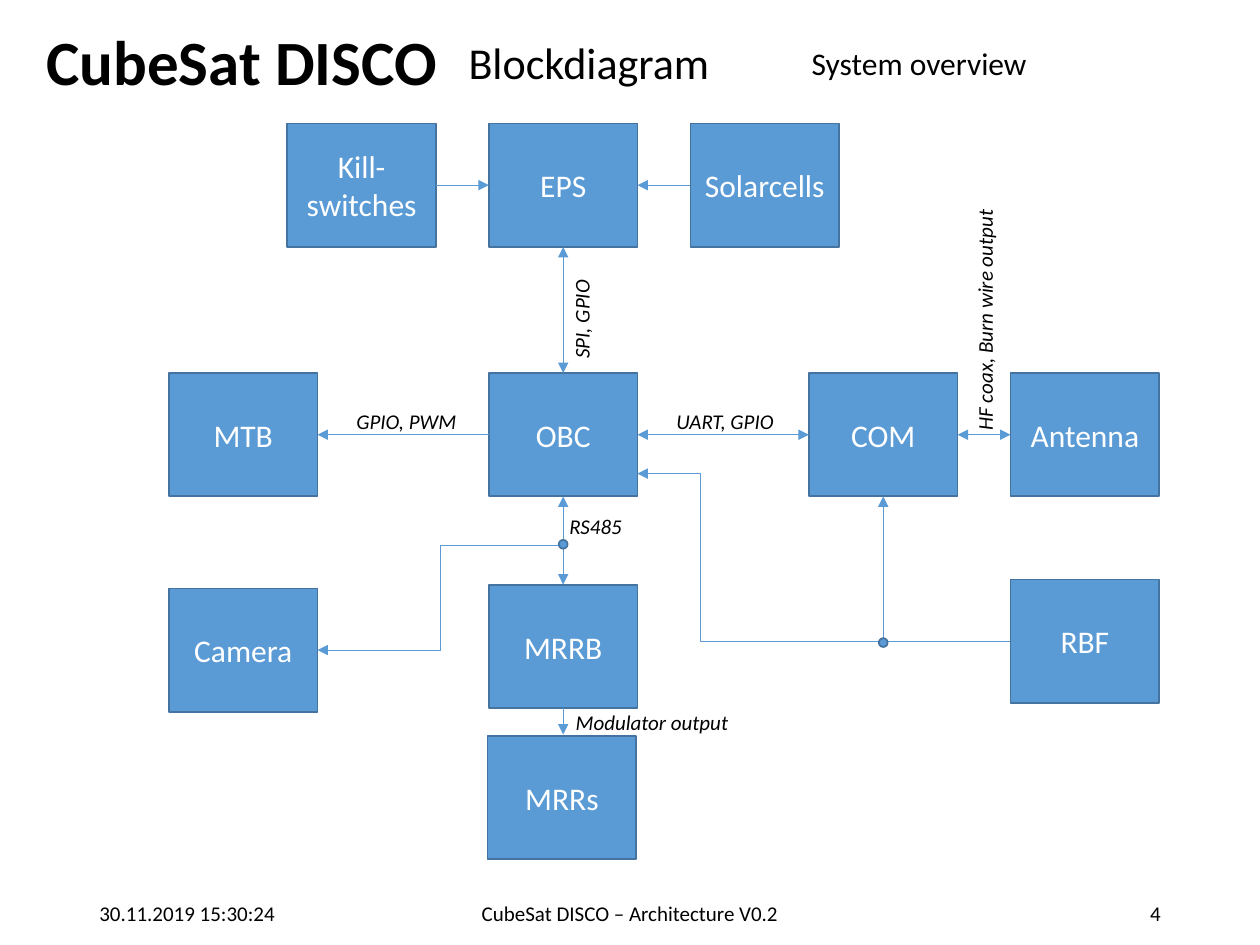
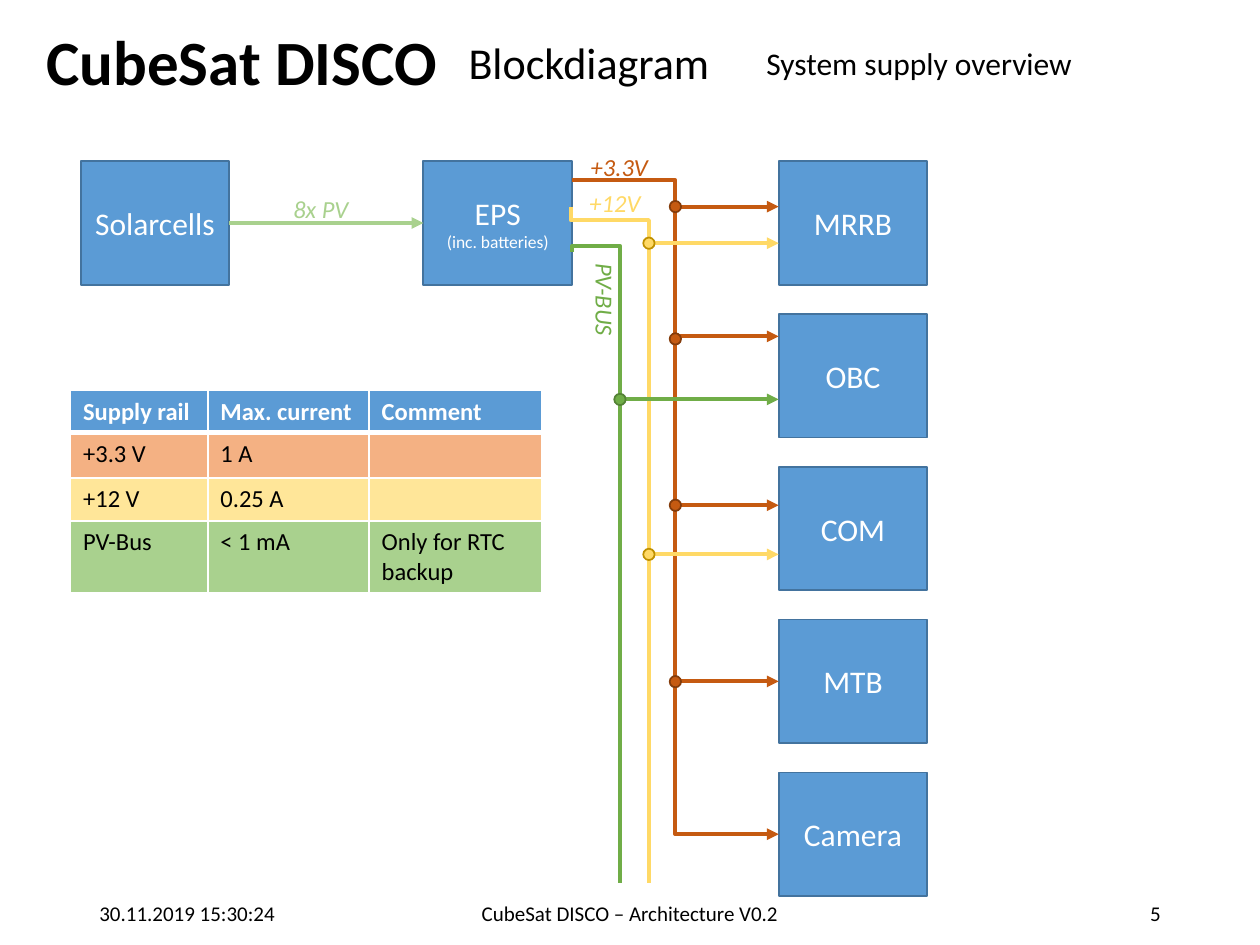
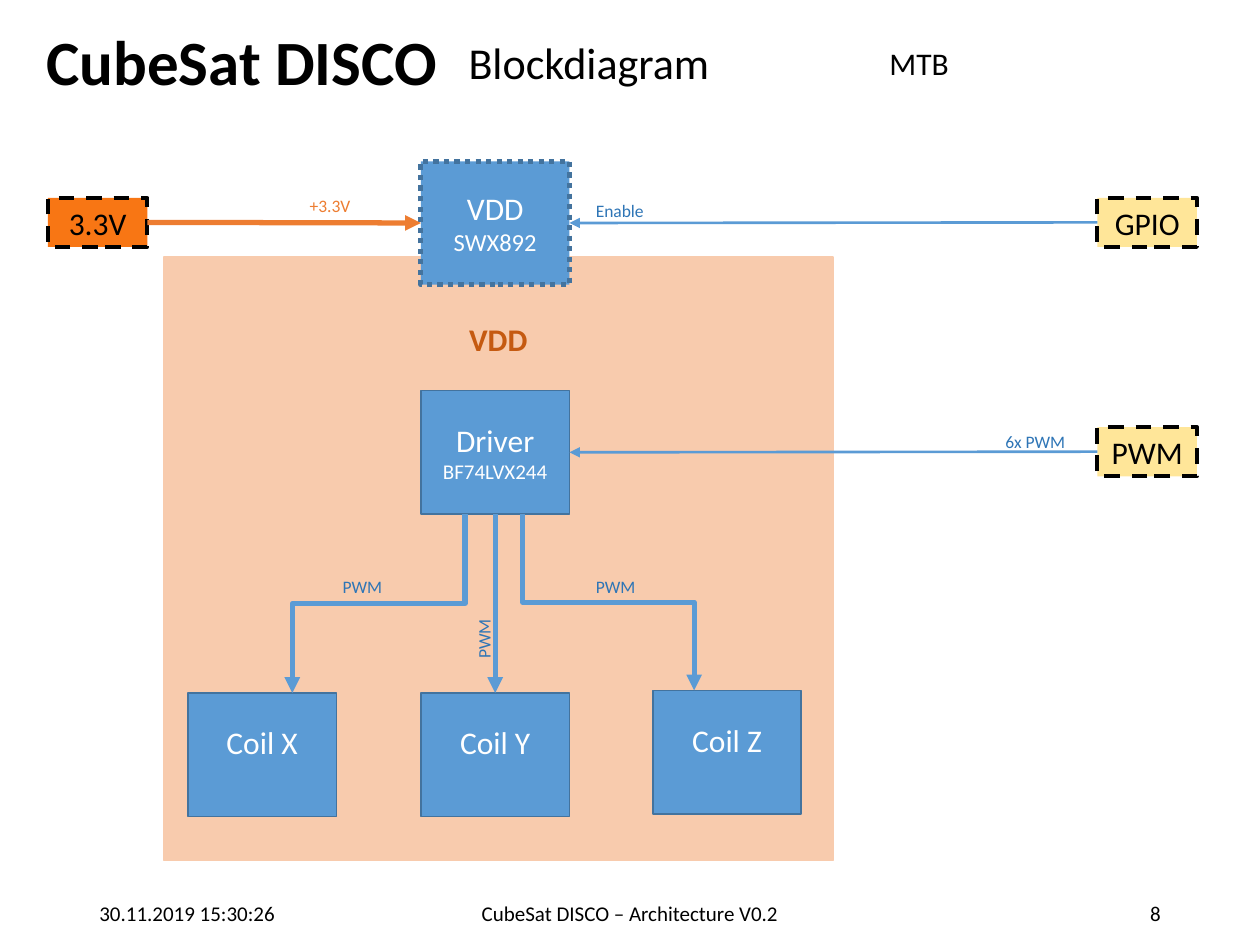
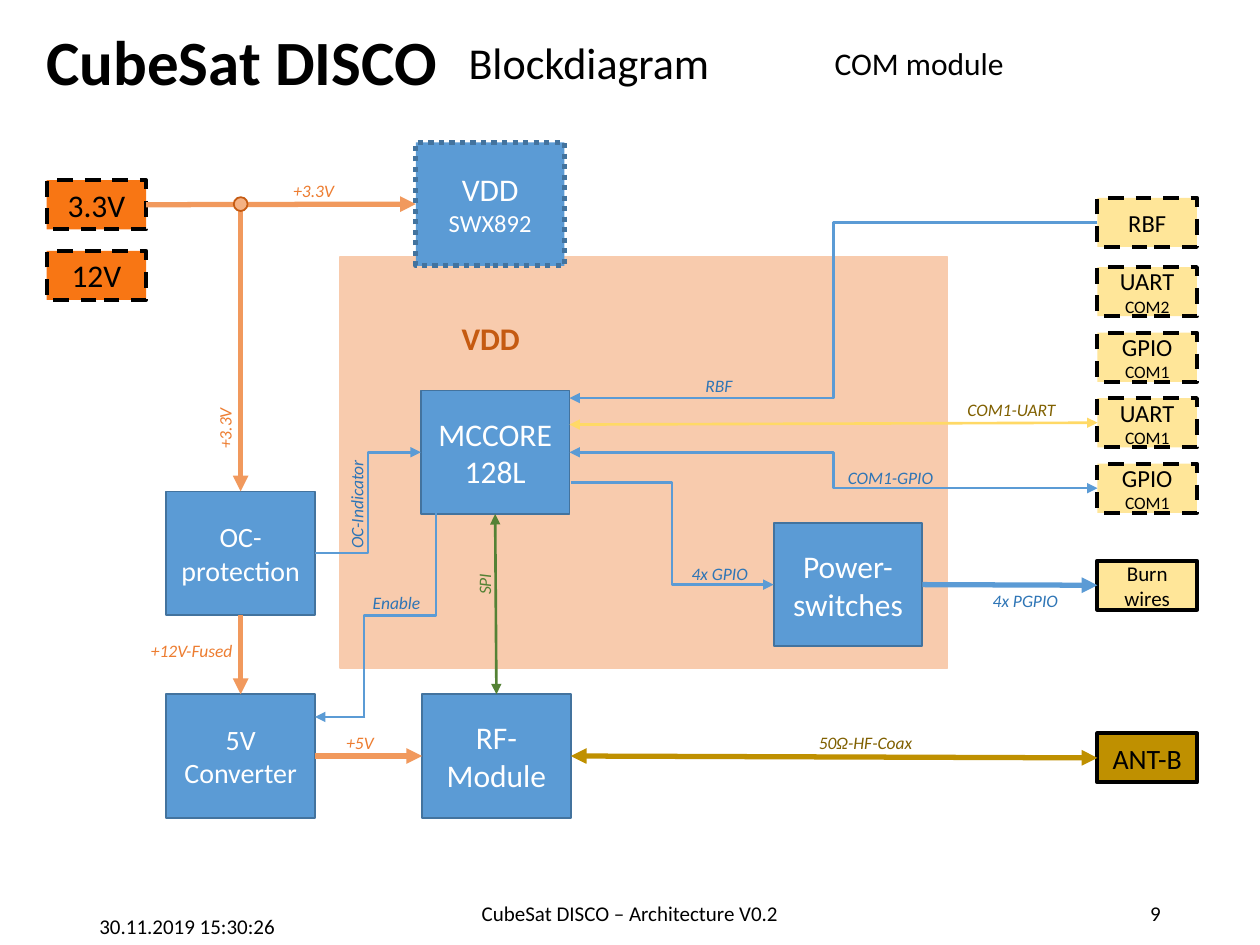
from dataclasses import dataclass

import pptx
import pptx.dml.color
import pptx.enum.dml
import pptx.enum.shapes
import pptx.enum.text
import pptx.oxml
import pptx.oxml.ns
import pptx.util
from lxml import etree

Inches = pptx.util.Inches
Pt = pptx.util.Pt
qn = pptx.oxml.ns.qn
MSO_SHAPE = pptx.enum.shapes.MSO_SHAPE
CONNECTOR = pptx.enum.shapes.MSO_CONNECTOR
ALIGN = pptx.enum.text.PP_ALIGN
ANCHOR = pptx.enum.text.MSO_ANCHOR
DASH = pptx.enum.dml.MSO_LINE


@dataclass(frozen=True)
class Theme:
    font: str = "Calibri"
    black: str = "000000"
    white: str = "FFFFFF"
    blue: str = "5B9BD5"
    blue_edge: str = "43739E"
    blue_text: str = "2E75B6"
    rust: str = "C55A11"
    rust_edge: str = "843C0B"
    orange: str = "ED7D31"
    orange_line: str = "F1995D"
    orange_soft: str = "F4B183"
    orange_port: str = "F87614"
    peach: str = "F8CBAD"
    yellow: str = "FFD966"
    yellow_soft: str = "FFE699"
    gold: str = "BF9000"
    gold_text: str = "806000"
    green: str = "70AD47"
    green_edge: str = "548235"
    green_soft: str = "A9D18E"
    brand_size: float = 36
    title_size: float = 25.2
    block_size: float = 18
    medium_size: float = 16
    table_size: float = 14
    footer_size: float = 12
    label_size: float = 10


theme = Theme()

BLOCK = (1.18, 0.98)
PORT = (0.79, 0.39)
STYLES = {
    "block": (BLOCK, theme.blue, theme.white, theme.blue_edge, 1, None),
    "regulator": (BLOCK, theme.blue, theme.white, theme.blue_edge, 3, DASH.ROUND_DOT),
    "supply": (PORT, theme.orange_port, theme.black, theme.black, 2.25, DASH.DASH),
    "signal": (PORT, theme.yellow_soft, theme.black, theme.black, 2.25, DASH.DASH),
    "external": (PORT, theme.yellow_soft, theme.black, theme.black, 2.25, None),
    "antenna": (PORT, theme.gold, theme.black, theme.black, 2.25, None),
}
LABEL_HEIGHTS = {10: 0.27, 12: 0.3, 14: 0.34, 18: 0.4}

COLUMN = [3.88 + offset for offset in (-2.54, 0, 2.54)]
TOP_ROW = [3.88 + offset for offset in (-1.6, 0, 1.6)]
CONSUMERS = ["MRRB", "OBC", "COM", "MTB", "Camera"]
RED = dict(color=theme.rust)
YELLOW = dict(color=theme.yellow)
GREEN = dict(color=theme.green)
FUSED = dict(color=theme.orange_line, weight=3)
BOTH = dict(arrows="both")
VDD_LABEL = dict(color=theme.rust, size=18, bold=True, italic=False, align=ALIGN.CENTER)
ORANGE_LABEL = dict(color=theme.orange)
GOLD_LABEL = dict(color=theme.gold_text)
COIL = dict(margin_bottom=0.25)
TWO_SIZES = dict(size=14, small=10)

overview = dict(
    topic="System overview", number=4, stamp="30.11.2019 15:30:24", weight=0.5,
    label=dict(size=12, color=theme.black, italic=True),
    blocks={
        "EPS": ("EPS", TOP_ROW[1], 0.98),
        "Kill": ("Kill-switches", TOP_ROW[0], 0.98),
        "Solar": ("Solarcells", TOP_ROW[2], 0.98),
        "MTB": ("MTB", COLUMN[0], 2.96),
        "OBC": ("OBC", COLUMN[1], 2.96),
        "COM": ("COM", COLUMN[2], 2.96),
        "Antenna": ("Antenna", 8.02, 2.96),
        "Camera": ("Camera", COLUMN[0], 4.67),
        "MRRB": ("MRRB", COLUMN[1], 4.64),
        "MRRs": ("MRRs", 3.87, 5.84),
        "RBF": ("RBF", 8.02, 4.6),
    },
    links=[
        ("Kill.right", "EPS.left", {}),
        ("Solar.left", "EPS.right", {}),
        ("OBC.top", "EPS.bottom", BOTH),
        ("OBC.left", "MTB.right", {}),
        ("OBC.right", "COM.left", BOTH),
        ("COM.right", "Antenna.left", BOTH),
        ("OBC.bottom", "MRRB.top", BOTH),
        ("MRRB.bottom", (4.47, 5.83), {}),
        ("Camera.right", (4.47, 4.33), dict(route="across", arrows="begin")),
        ("RBF.left", (5.06, 3.76), dict(route="across", bend=0.83)),
        ((7.01, 5.09), "COM.bottom", {}),
    ],
    dots=[(x, y, 0.07, theme.blue, theme.blue_edge) for x, y in [(4.47, 4.32), (7.01, 5.1)]],
    labels=[
        ("GPIO, PWM", 2.73, 3.19, 1.01, {}),
        ("UART, GPIO", 5.27, 3.19, 0.99, {}),
        ("RS485", 4.42, 4.03, 0.62, {}),
        ("SPI, GPIO", 4.2, 2.38, 0.83, dict(rotation=270)),
        ("Modulator output", 4.47, 5.58, 1.42, {}),
        ("HF coax, Burn wire output", 6.83, 2.38, 1.97, dict(rotation=270)),
    ],
)

supply = dict(
    topic="System supply overview", number=5, stamp="30.11.2019 15:30:24", weight=2.25,
    label=dict(size=14, italic=True),
    blocks={
        "Solar": ("Solarcells", 0.64, 1.28),
        "EPS": ("EPS\n(inc. batteries)", 3.36, 1.28, dict(small=10)),
        **{name: (name, 6.18, 1.28 + 1.2125 * row) for row, name in enumerate(CONSUMERS)},
    },
    links=[
        ("Solar.right", "EPS.left", dict(color=theme.green_soft)),
        ((4.54, 1.43), (6.18, 2.67), dict(route="across", **RED)),
        ((5.37, 1.64), (6.18, 1.64), RED),
        ((5.37, 4.01), (6.18, 4.01), RED),
        ((4.54, 2), (4.92, 7.01), dict(route="down", bend=-0.01, arrows="none", **GREEN)),
        ((4.53, 1.64), (5.15, 7.01), dict(route="down", bend=0.02, arrows="none", **YELLOW)),
        ((5.36, 2.73), "MTB.left", dict(route="down", corner=True, **RED)),
        ((5.36, 5.41), "Camera.left", dict(route="down", corner=True, **RED)),
        ((5.15, 1.93), (6.18, 1.93), YELLOW),
        ((5.15, 4.4), (6.18, 4.4), YELLOW),
        ((4.92, 3.17), (6.18, 3.17), GREEN),
    ],
    dots=[(5.36, y, 0.09, theme.rust, theme.rust_edge) for y in (1.64, 2.69, 4.01, 5.41)]
    + [(5.15, y, 0.09, theme.yellow, theme.gold) for y in (1.93, 4.4)]
    + [(4.92, 3.17, 0.09, theme.green, theme.green_edge)],
    labels=[
        ("+12V", 4.58, 1.44, 0.61, YELLOW),
        ("+3.3V", 4.59, 1.16, 0.66, RED),
        ("PV-BUS", 4.4, 2.22, 0.8, dict(rotation=90, **GREEN)),
        ("8x PV", 2.23, 1.49, 0.64, dict(color=theme.green_soft)),
    ],
    table=dict(
        left=0.56, top=3.1, widths=[1.09, 1.28, 1.37], heights=[0.31, 0.36, 0.34, 0.56],
        fills=[theme.blue, theme.orange_soft, theme.yellow_soft, theme.green_soft],
        rows=[
            ["Supply rail", "Max. current", "Comment"],
            ["+3.3 V", "1 A", ""],
            ["+12 V", "0.25 A", ""],
            ["PV-Bus", "< 1 mA", "Only for RTC backup"],
        ],
    ),
)

coils = dict(
    topic="MTB", number=8, stamp="30.11.2019 15:30:26", weight=1.5,
    label=dict(size=theme.label_size, color=theme.blue_text),
    panel=(1.3, 2.04, 5.31, 4.79),
    blocks={
        "VDD": ("VDD\nSWX892", 3.34, 1.28, dict(style="regulator", small=14)),
        "Driver": ("Driver\nBF74LVX244", 3.34, 3.1, dict(small=12)),
        "X": ("Coil X", 1.49, 5.5, COIL),
        "Y": ("Coil Y", 3.34, 5.5, COIL),
        "Z": ("Coil Z", 5.18, 5.48, COIL),
        "3.3V": ("3.3V", 0.38, 1.57, dict(style="supply")),
        "GPIO": ("GPIO", 8.71, 1.57, dict(style="signal")),
        "PWM": ("PWM", 8.71, 3.39, dict(style="signal")),
    },
    links=[
        ("PWM.left", "Driver.right", {}),
        ("GPIO.left", "VDD.right", {}),
        ("3.3V.right", "VDD.left", dict(color=theme.orange, weight=3)),
        ((3.69, 4.08), (2.32, 5.5), dict(route="down", weight=3)),
        ((4.15, 4.08), (5.51, 5.48), dict(route="down", weight=3)),
        ("Driver.bottom", "Y.top", dict(weight=3)),
    ],
    labels=[
        ("VDD", 3.62, 2.49, 0.67, VDD_LABEL),
        ("+3.3V", 2.36, 1.5, 0.53, ORANGE_LABEL),
        ("Enable", 4.63, 1.54, 0.59, {}),
        ("6x PWM", 7.88, 3.37, 0.68, {}),
        ("PWM", 2.62, 4.52, 0.52, {}),
        ("PWM", 4.63, 4.52, 0.52, {}),
        ("PWM", 3.58, 4.93, 0.52, dict(rotation=270)),
    ],
)

PORT_STACK = ["UART\nCOM2", "GPIO\nCOM1", "UART\nCOM1", "GPIO\nCOM1"]

radio = dict(
    topic="COM module", number=9, stamp="30.11.2019 15:30:26", stamp_drop=0.1, weight=1.5,
    label=dict(size=theme.label_size, color=theme.blue_text, italic=True),
    panel=(2.7, 2.04, 4.82, 3.26),
    blocks={
        "VDD": ("VDD\nSWX892", 3.3, 1.13, dict(style="regulator", small=14)),
        "MCU": ("MCCORE 128L", 3.34, 3.1),
        "RF": ("RF-Module", 3.35, 5.51),
        "Power": ("Power-switches", 6.14, 4.15),
        "OC": ("OC-protection", 1.32, 3.9, dict(size=theme.medium_size)),
        "5V": ("5V\nConverter", 1.32, 5.51, dict(size=theme.medium_size)),
        "3.3V": ("3.3V", 0.37, 1.43, dict(style="supply")),
        "12V": ("12V", 0.37, 1.99, dict(style="supply")),
        "RBF": ("RBF", 8.71, 1.57, dict(style="signal", size=14)),
        **{f"port{row}": (text, 8.71, 2.12 + 0.52 * row, dict(style="signal", **TWO_SIZES))
           for row, text in enumerate(PORT_STACK)},
        "Burn": ("Burn wires", 8.71, 4.45, dict(style="external", size=12)),
        "Antenna": ("ANT-B", 8.71, 5.82, dict(style="antenna", size=theme.medium_size)),
    },
    links=[
        ("3.3V.right", "VDD.left", FUSED),
        ((1.91, 1.62), "OC.top", FUSED),
        ("OC.bottom", "5V.top", FUSED),
        ("5V.right", "RF.left", FUSED),
        ("port2.left", (4.52, 3.37), dict(color=theme.yellow, arrows="both")),
        ("port3.left", "MCU.right", dict(route="across", arrows="both")),
        ("RBF.left", (4.52, 3.16), dict(route="across")),
        ("MCU.bottom", "RF.top", dict(color=theme.green_edge, arrows="both")),
        ("RF.right", "Antenna.left", dict(color=theme.gold, weight=3, arrows="both")),
        ((4.53, 3.83), "Power.left", dict(route="across")),
        ("Power.right", "Burn.left", dict(weight=3)),
        ("OC.right", "MCU.left", dict(route="across")),
        ((3.46, 4.07), (2.89, 5.7), dict(route="down", arrows="none")),
        ((2.9, 5.69), (2.5, 5.69), {}),
    ],
    dots=[(1.91, 1.62, 0.11, theme.orange_soft, theme.rust)],
    labels=[
        ("VDD", 3.56, 2.48, 0.67, VDD_LABEL),
        ("+3.3V", 2.23, 1.38, 0.53, ORANGE_LABEL),
        ("+3.3V", 1.52, 3.26, 0.53, dict(rotation=270, **ORANGE_LABEL)),
        ("+12V-Fused", 1.1, 5.03, 0.87, ORANGE_LABEL),
        ("+5V", 2.65, 5.76, 0.42, ORANGE_LABEL),
        ("Enable", 2.86, 4.65, 0.58, {}),
        ("OC-Indicator", 2.37, 3.86, 0.92, dict(rotation=270)),
        ("RBF", 5.5, 2.93, 0.42, {}),
        ("COM1-UART", 7.58, 3.12, 0.91, GOLD_LABEL),
        ("COM1-GPIO", 6.63, 3.66, 0.89, {}),
        ("4x GPIO", 5.39, 4.42, 0.65, {}),
        ("4x PGPIO", 7.78, 4.63, 0.72, {}),
        ("SPI", 3.66, 4.5, 0.37, dict(rotation=270, color=theme.green_edge)),
        ("50\u2126-HF-Coax", 6.4, 5.76, 1.12, GOLD_LABEL),
    ],
)


def rgb(code):
    return pptx.dml.color.RGBColor.from_string(code)


def write(frame, text, size=theme.block_size, small=None, color=theme.black, bold=False,
          italic=False, align=ALIGN.LEFT, anchor=ANCHOR.TOP, wrap=True,
          line_spacing=None, space_before=None, margin_bottom=0.05):
    frame.word_wrap = wrap
    frame.vertical_anchor = anchor
    frame.margin_bottom = Inches(margin_bottom)
    for index, line in enumerate(text.split("\n")):
        para = frame.paragraphs[0] if index == 0 else frame.add_paragraph()
        para.alignment = align
        if line_spacing:
            para.line_spacing = line_spacing
        if space_before:
            para.space_before = Pt(space_before)
        span = para.add_run()
        span.text = line
        span.font.name = theme.font
        span.font.size = Pt(small if index and small else size)
        span.font.bold = bold
        span.font.italic = italic
        span.font.color.rgb = rgb(color)


def add_text(page, text, left, top, width, height, rotation=0, **format):
    box = page.shapes.add_textbox(Inches(left), Inches(top), Inches(width), Inches(height))
    box.rotation = rotation
    write(box.text_frame, text, **format)
    return box


def add_figure(page, kind, left, top, width, height, fill, edge, weight=1, dash=None):
    figure = page.shapes.add_shape(kind, Inches(left), Inches(top), Inches(width), Inches(height))
    figure.shadow.inherit = False
    figure.fill.solid()
    figure.fill.fore_color.rgb = rgb(fill)
    figure.line.color.rgb = rgb(edge)
    figure.line.width = Pt(weight)
    if dash:
        figure.line.dash_style = dash
    return figure


def add_block(page, text, left, top, format):
    format = dict(format)
    size, fill, color, edge, weight, dash = STYLES[format.pop("style", "block")]
    block = add_figure(page, MSO_SHAPE.RECTANGLE, left, top, *size, fill, edge, weight, dash)
    write(block.text_frame, text, color=color, align=ALIGN.CENTER, anchor=ANCHOR.MIDDLE, **format)
    return left, top, *size


def locate(end, places):
    if not isinstance(end, str):
        return end
    name, side = end.rsplit(".", 1)
    left, top, width, height = places[name]
    across, down = {"left": (0, 0.5), "right": (1, 0.5), "top": (0.5, 0), "bottom": (0.5, 1)}[side]
    return left + across * width, top + down * height


def add_link(page, begin, end, color=theme.blue, weight=1, arrows="end",
             route="straight", bend=0.5, corner=False):
    if route == "down":
        middle_x, middle_y = (begin[0] + end[0]) / 2, (begin[1] + end[1]) / 2
        half_x, half_y = (end[0] - begin[0]) / 2, (end[1] - begin[1]) / 2
        begin = middle_x - half_y, middle_y + half_x
        end = middle_x + half_y, middle_y - half_x
    kind = CONNECTOR.STRAIGHT if route == "straight" else CONNECTOR.ELBOW
    link = page.shapes.add_connector(kind, *(Inches(value) for value in (*begin, *end)))
    link.line.color.rgb = rgb(color)
    link.line.width = Pt(weight)
    properties = link.element.spPr
    geometry = properties.find(qn("a:prstGeom"))
    if route == "down":
        properties.find(qn("a:xfrm")).set("rot", str(90 * 60000))
    if corner:
        geometry.set("prst", "bentConnector2")
    elif route != "straight":
        guide = etree.SubElement(geometry.find(qn("a:avLst")), qn("a:gd"))
        guide.set("name", "adj1")
        guide.set("fmla", f"val {round(bend * 100000)}")
    stroke = properties.find(qn("a:ln"))
    for tag, wanted in (("a:headEnd", ("begin", "both")), ("a:tailEnd", ("end", "both"))):
        if arrows in wanted:
            etree.SubElement(stroke, qn(tag)).set("type", "triangle")
    etree.SubElement(properties, qn("a:effectLst"))


def add_borders(cell, bottom):
    holder = cell._tc.get_or_add_tcPr()
    for side, weight in (("L", 1), ("R", 1), ("T", 1), ("B", bottom)):
        border = etree.SubElement(holder, qn("a:ln" + side))
        border.set("w", str(Pt(weight)))
        paint = etree.SubElement(border, qn("a:solidFill"))
        etree.SubElement(paint, qn("a:srgbClr")).set("val", theme.white)


def add_rail_table(page, left, top, widths, heights, fills, rows):
    frame = page.shapes.add_table(len(rows), len(widths), Inches(left), Inches(top),
                                  Inches(sum(widths)), Inches(sum(heights)))
    table = frame.table
    table.first_row = table.horz_banding = False
    for column, width in zip(table.columns, widths):
        column.width = Inches(width)
    for index, (row, height, fill) in enumerate(zip(rows, heights, fills)):
        header = index == 0
        table.rows[index].height = Inches(height)
        for number, text in enumerate(row):
            cell = table.cell(index, number)
            add_borders(cell, 3 if header else 1)
            cell.fill.solid()
            cell.fill.fore_color.rgb = rgb(fill)
            if text:
                write(cell.text_frame, text, size=theme.table_size, bold=header,
                      color=theme.white if header else theme.black)
            else:
                cell.margin_top = cell.margin_bottom = 0


def add_frame(page, topic, number, stamp, stamp_drop):
    heading = dict(anchor=ANCHOR.MIDDLE, line_spacing=0.9)
    add_text(page, "CubeSat DISCO", 0.27, 0.22, 3.35, 0.59, size=theme.brand_size, bold=True, **heading)
    add_text(page, "Blockdiagram", 3.62, 0.22, 2.25, 0.59, size=theme.title_size, **heading)
    add_text(page, topic, 5.87, 0.22, 2.85, 0.59, align=ALIGN.CENTER, space_before=10, **heading)
    footers = [
        (stamp, 0.69, 2.25, stamp_drop, ALIGN.LEFT),
        ("CubeSat DISCO – Architecture V0.2", 3.31, 3.38, 0, ALIGN.CENTER),
        (str(number), 7.06, 2.25, 0, ALIGN.RIGHT),
    ]
    for text, left, width, drop, align in footers:
        add_text(page, text, left, 6.95 + drop, width, 0.4, size=theme.footer_size,
                 align=align, anchor=ANCHOR.BOTTOM, margin_bottom=0)


def add_diagram(deck, content):
    page = deck.slides.add_slide(deck.slide_layouts[6])
    add_frame(page, content["topic"], content["number"], content["stamp"],
              content.get("stamp_drop", 0))
    if "panel" in content:
        add_figure(page, MSO_SHAPE.RECTANGLE, *content["panel"], theme.peach, theme.peach)
    places = {}
    for name, (text, left, top, *format) in content["blocks"].items():
        places[name] = add_block(page, text, left, top, format[0] if format else {})
    for begin, end, format in content["links"]:
        add_link(page, locate(begin, places), locate(end, places),
                 **{"weight": content["weight"], **format})
    for x, y, size, fill, edge in content.get("dots", []):
        add_figure(page, MSO_SHAPE.OVAL, x - size / 2, y - size / 2, size, size, fill, edge)
    for text, left, top, width, format in content["labels"]:
        format = {**content["label"], **format}
        box = add_text(page, text, left, top, width, LABEL_HEIGHTS[format["size"]],
                       wrap=False, **format)
        box.text_frame.auto_size = pptx.enum.text.MSO_AUTO_SIZE.SHAPE_TO_FIT_TEXT
    if "table" in content:
        add_rail_table(page, **content["table"])


deck = pptx.Presentation()
deck.slide_width = Inches(10)
deck.slide_height = Inches(7.5)
for content in (overview, supply, coils, radio):
    add_diagram(deck, content)
deck.save("out.pptx")
